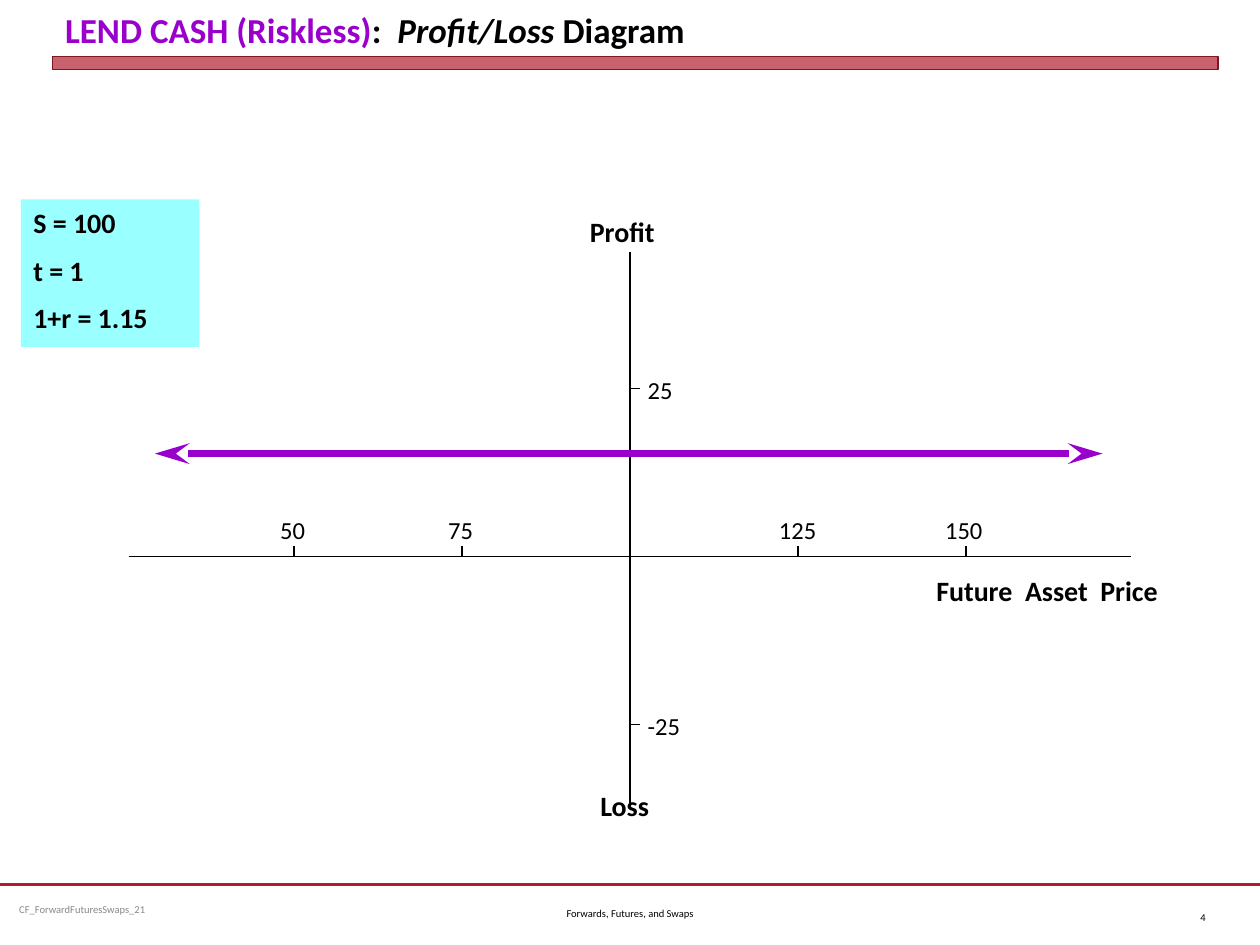
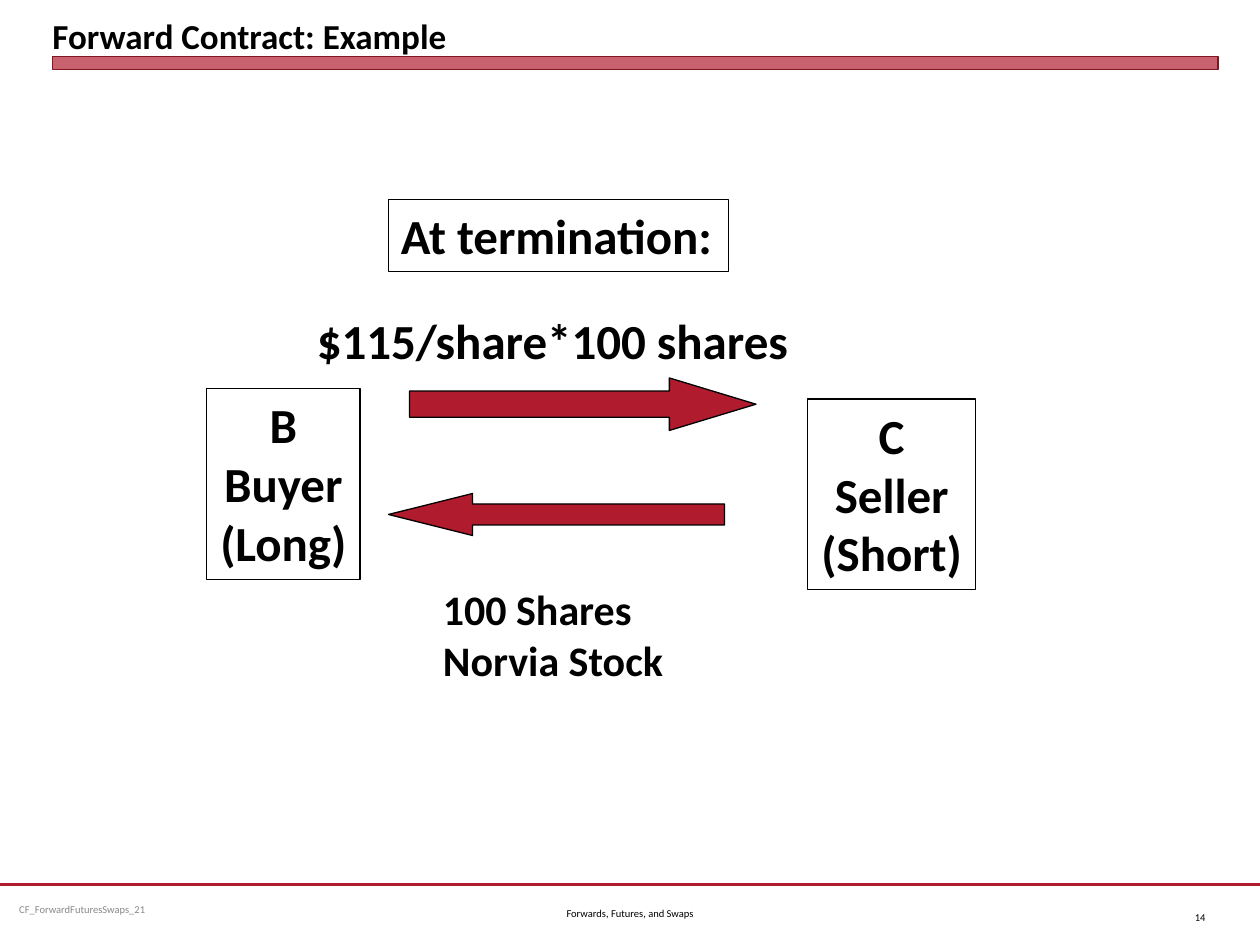
"""Build two slides on forwards: a riskless lending diagram and a forward contract at termination."""
from lxml import etree
from pptx import Presentation
from pptx.dml.color import RGBColor
from pptx.enum import shapes, text
from pptx.oxml import ns
from pptx.util import Pt

BLACK = RGBColor(0x00, 0x00, 0x00)
GREY = RGBColor(0x89, 0x89, 0x89)
CRIMSON = RGBColor(0xB0, 0x1C, 0x2E)
DARK_RED = RGBColor(0x82, 0x15, 0x22)
PURPLE = RGBColor(0x99, 0x00, 0xCC)
CYAN = RGBColor(0x99, 0xFF, 0xFF)
FONT = "Calibri"
LEFT, CENTER, RIGHT = text.PP_ALIGN.LEFT, text.PP_ALIGN.CENTER, text.PP_ALIGN.RIGHT


def add_label(slide, lines, box, size, bold=False, color=BLACK, align=LEFT,
              gap=0, wrap=True, middle=False):
    label = slide.shapes.add_textbox(*map(Pt, box))
    frame = label.text_frame
    frame.word_wrap = wrap
    if middle:
        frame.vertical_anchor = text.MSO_ANCHOR.MIDDLE
    else:
        frame.auto_size = text.MSO_AUTO_SIZE.SHAPE_TO_FIT_TEXT
    for index, line in enumerate(lines):
        paragraph = frame.add_paragraph() if index else frame.paragraphs[0]
        paragraph.alignment = align
        if index and gap:
            paragraph.space_before = Pt(gap)
        run = paragraph.add_run()
        run.text = line
        run.font.name, run.font.size, run.font.bold = FONT, Pt(size), bold
        run.font.color.rgb = color
    return label


def add_line(slide, x1, y1, x2, y2, color=BLACK, width=1):
    line = slide.shapes.add_connector(
        shapes.MSO_CONNECTOR.STRAIGHT, Pt(x1), Pt(y1), Pt(x2), Pt(y2))
    line.line.color.rgb = color
    line.line.width = Pt(width)
    etree.SubElement(line.element.spPr, ns.qn("a:effectLst"))
    return line


deck = Presentation()
deck.slide_width, deck.slide_height = Pt(720), Pt(540)

headings = [
    ("4", (7.2, 3.6), [("LEND CASH (Riskless)", PURPLE, False), (":  ", BLACK, False),
                       ("Profit/Loss", BLACK, True), (" Diagram", BLACK, False)]),
    ("14", (0, 0), [("Forward Contract: Example", BLACK, False)]),
]
for number, (side_inset, end_inset), title_runs in headings:
    slide = deck.slides.add_slide(deck.slide_layouts[5])
    add_line(slide, 0, 505.5, 720, 505.5, CRIMSON, 1.25)

    band = slide.shapes.add_shape(
        shapes.MSO_SHAPE.RECTANGLE, Pt(30), Pt(32.4), Pt(666), Pt(7.2))
    band.shadow.inherit = False
    band.fill.solid()
    band.fill.fore_color.rgb = CRIMSON
    band_color = band.element.spPr.find(ns.qn("a:solidFill"))[0]
    etree.SubElement(band_color, ns.qn("a:alpha"), val="69000")
    band.line.color.rgb = DARK_RED
    band.line.width = Pt(0)

    title = slide.shapes.title
    title.left, title.top, title.width, title.height = map(Pt, (30, 3.6, 666, 28.8))
    frame = title.text_frame
    frame.auto_size = text.MSO_AUTO_SIZE.NONE
    frame.vertical_anchor = text.MSO_ANCHOR.BOTTOM
    frame.margin_left = frame.margin_right = Pt(side_inset)
    frame.margin_top = frame.margin_bottom = Pt(end_inset)
    frame.paragraphs[0].alignment = LEFT
    for words, color, italic in title_runs:
        run = frame.paragraphs[0].add_run()
        run.text = words
        run.font.name, run.font.size, run.font.bold = FONT, Pt(20), True
        run.font.italic = italic
        run.font.color.rgb = color

    course = add_label(slide, ["CF_ForwardFuturesSwaps_21"], (6, 505.5, 186, 28.8), 6,
                       color=GREY, middle=True)
    course.text_frame.margin_left = course.text_frame.margin_right = Pt(5)
    add_label(slide, ["Forwards, Futures, and Swaps"], (246, 507.6, 228, 28.8), 6,
              align=CENTER, middle=True)
    add_label(slide, [number], (660, 509.8, 36, 28.8), 6, align=RIGHT, middle=True)

diagram, contract = deck.slides

assumptions = add_label(diagram, ["S = 100", "t = 1", "1+r = 1.15"],
                        (12, 114, 102, 84.3), 16, bold=True, gap=8)
assumptions.fill.solid()
assumptions.fill.fore_color.rgb = CYAN

axis_x, axis_y, scale = 360, 318, 3.84
add_line(diagram, 73.5, axis_y, 646.5, axis_y)
add_line(diagram, axis_x, 462, axis_x, 144)

for price, label_offset in ((50, 15), (75, 15), (125, 18), (150, 19)):
    tick_x = axis_x + (price - 100) * scale
    add_line(diagram, tick_x, axis_y, tick_x, axis_y - 6)
    add_label(diagram, [str(price)], (tick_x - label_offset, 291, 60, 24.5), 14)

for profit in (25, -25):
    tick_y = axis_y - profit * scale
    add_line(diagram, axis_x, tick_y, axis_x + 6, tick_y)
    add_label(diagram, [str(profit)], (axis_x + 3, tick_y - 11, 48, 24.5), 14)

payoff = add_line(diagram, 88.5, 259.2, 630, 259.2, PURPLE, 4)
payoff_stroke = payoff.element.spPr.find(ns.qn("a:ln"))
for end in ("a:headEnd", "a:tailEnd"):
    etree.SubElement(payoff_stroke, ns.qn(end), type="stealth", w="med", len="lg")

for caption, box in (("Future  Asset  Price", (528, 324, 186, 26.6)),
                     ("Loss", (336, 447, 52.5, 26.6)),
                     ("Profit", (330, 118.8, 59, 26.6))):
    add_label(diagram, [caption], box, 16, bold=True)

for direction, box, head_length in (
        (shapes.MSO_SHAPE.RIGHT_ARROW, (234, 216, 198, 30), 1.65),
        (shapes.MSO_SHAPE.LEFT_ARROW, (222, 282, 192, 24), 2)):
    flow = contract.shapes.add_shape(direction, *map(Pt, box))
    flow.shadow.inherit = False
    flow.adjustments[0], flow.adjustments[1] = 0.5, head_length
    flow.fill.solid()
    flow.fill.fore_color.rgb = CRIMSON
    flow.line.color.rgb = BLACK
    flow.line.width = Pt(0.75)

for lines, box, size, align, framed in (
        (["B", "Buyer", "(Long)"], (118, 222, 87.8, 109), 28, CENTER, True),
        (["$115/share*100 shares"], (174, 174, 287.5, 41), 28, LEFT, False),
        (["100 Shares", "Norvia Stock"], (246, 330, 145.5, 65.5), 24, LEFT, False),
        (["C", "Seller", "(Short)"], (461.5, 228, 96, 109), 28, CENTER, True),
        (["At termination:"], (222, 114, 194.5, 41), 28, LEFT, True)):
    party = add_label(contract, lines, box, size, bold=True, align=align, wrap=False)
    if framed:
        party.line.color.rgb = BLACK
        party.line.width = Pt(0.75)

deck.save("out.pptx")
